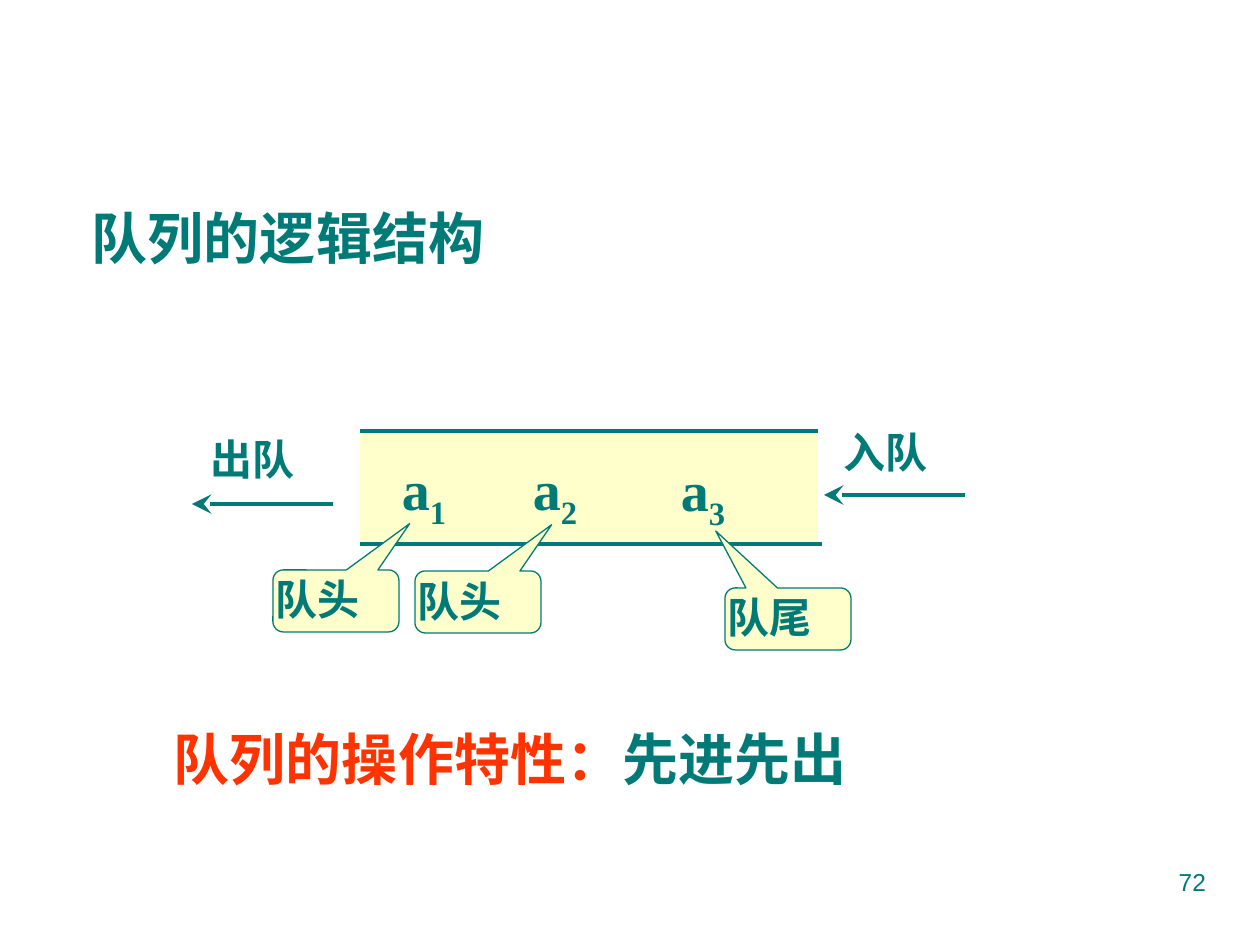
import pptx
import pptx.dml.color
import pptx.enum.shapes
import pptx.enum.text
import pptx.oxml
import pptx.oxml.ns
import pptx.util

PX = 914400 / 126
COLORS = {"teal": "007A77", "cream": "FFFFCC", "red": "FF3300"}
SHAPES = pptx.enum.shapes.MSO_SHAPE


def px(*lengths):
    return [pptx.util.Emu(round(length * PX)) for length in lengths]


def rgb(name):
    return pptx.dml.color.RGBColor.from_string(COLORS[name])


def set_text(shape, runs, size, insets, font="Times New Roman", bold=True):
    """Write one paragraph from (text, colour, is_subscript) runs."""
    frame = shape.text_frame
    frame.vertical_anchor = pptx.enum.text.MSO_ANCHOR.TOP
    (frame.margin_left, frame.margin_top,
     frame.margin_right, frame.margin_bottom) = px(*insets)
    paragraph = frame.paragraphs[0]
    paragraph.alignment = pptx.enum.text.PP_ALIGN.LEFT
    paragraph.font.size = pptx.util.Pt(size)
    paragraph.font.name = font
    paragraph.font.bold = bold
    for text, color, is_subscript in runs:
        run = paragraph.add_run()
        run.text = text
        run.font.color.rgb = rgb(color)
        if is_subscript:
            run._r.get_or_add_rPr().set("baseline", "-25000")
    return paragraph


def add_text(slide, box, runs, size, side_inset=13, grow=True, **style):
    shape = slide.shapes.add_textbox(*px(*box))
    paragraph = set_text(shape, runs, size, (side_inset, 6, side_inset, 6), **style)
    shape.text_frame.word_wrap = True
    if grow:
        shape.text_frame.auto_size = pptx.enum.text.MSO_AUTO_SIZE.SHAPE_TO_FIT_TEXT
    return paragraph


def add_line(slide, start_x, end_x, y, arrow=False):
    line = slide.shapes.add_connector(
        pptx.enum.shapes.MSO_CONNECTOR.STRAIGHT, *px(start_x, y, end_x, y))
    line.line.color.rgb = rgb("teal")
    line.line.width = pptx.util.Pt(2.25)
    if arrow:
        line.line._get_or_add_ln().append(pptx.oxml.parse_xml(
            f'<a:tailEnd {pptx.oxml.ns.nsdecls("a")} type="stealth" w="lg" len="lg"/>'))
    line._element.spPr.append(pptx.oxml.parse_xml(
        f'<a:effectLst {pptx.oxml.ns.nsdecls("a")}/>'))


def add_filled_shape(slide, kind, box):
    shape = slide.shapes.add_shape(kind, *px(*box))
    shape.shadow.inherit = False
    shape.fill.solid()
    shape.fill.fore_color.rgb = rgb("cream")
    shape.line.fill.background()
    return shape


def add_callout(slide, left, top, text, pointer):
    shape = add_filled_shape(slide, SHAPES.ROUNDED_RECTANGULAR_CALLOUT,
                             (left, top, 126, 62))
    shape.line.color.rgb = rgb("teal")
    shape.line.width = pptx.util.Pt(0.75)
    for index, value in enumerate(pointer):
        shape.adjustments[index] = value
    set_text(shape, [(text, "teal", False)], 24, (0, 1, 0, 6))


def main():
    presentation = pptx.Presentation()
    presentation.slide_width, presentation.slide_height = px(1260, 945)
    slide = presentation.slides.add_slide(presentation.slide_layouts[6])

    # Queue body between its two rails
    add_line(slide, 360, 818, 431)
    add_line(slide, 360, 822, 544)
    add_filled_shape(slide, SHAPES.RECTANGLE, (360, 433, 458, 108))

    # Operating rule
    add_text(slide, (161, 718, 856, 81),
             [("队列的操作特性：", "red", False), ("先进先出", "teal", False)], 32)

    # Queue elements
    for number, left, top in [("1", 402, 449), ("2", 533, 449), ("3", 681, 450)]:
        add_text(slide, (left, top, 60, 89),
                 [("a", "teal", False), (number, "teal", True)], 32, side_inset=0)

    # Entering and leaving the queue
    add_line(slide, 965, 824, 495, arrow=True)
    add_text(slide, (831, 421, 136, 63), [("入队", "teal", False)], 24)
    add_line(slide, 333, 192, 504, arrow=True)
    add_text(slide, (198, 428, 126, 63), [("出队", "teal", False)], 24)

    # Head and tail markers
    head_pointer = (0.585, -1.246, 0.167)
    add_callout(slide, 725, 588, "队尾", (-0.573, -1.419, 0.167))
    add_callout(slide, 273, 570, "队头", head_pointer)
    add_callout(slide, 415, 571, "队头", head_pointer)

    # Title and page number
    add_text(slide, (79, 198, 703, 81), [("队列的逻辑结构", "teal", False)], 32)
    page_number = add_text(slide, (904, 861, 315, 66), [("72", "teal", False)], 14,
                           grow=False, font="Arial", bold=False)
    page_number.alignment = pptx.enum.text.PP_ALIGN.RIGHT

    presentation.save("out.pptx")


if __name__ == "__main__":
    main()
